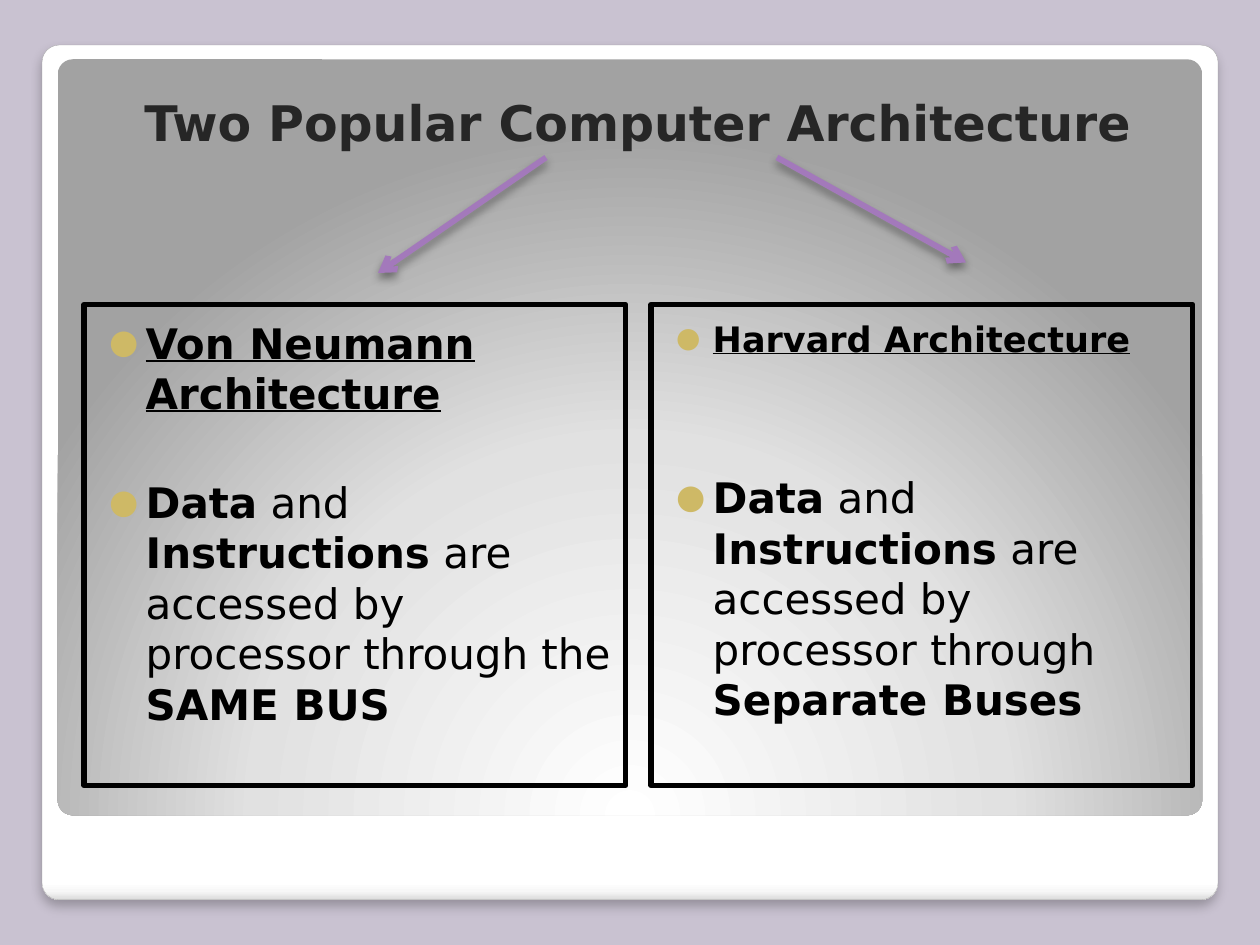
from dataclasses import dataclass

from lxml.etree import SubElement
from pptx import Presentation
from pptx.dml.color import RGBColor
from pptx.enum.shapes import MSO_CONNECTOR as Link, MSO_SHAPE as Shape
from pptx.enum.text import MSO_ANCHOR as Anchor, MSO_AUTO_SIZE as Auto, PP_ALIGN as Align
from pptx.oxml.ns import qn
from pptx.util import Inches, Pt


@dataclass(frozen=True)
class Theme:
    """Hold the colours, type sizes and font of the slide."""
    font: str = "DejaVu Sans"
    back: str = "C9C2D1"
    rim: str = "A4A4A4"
    title: str = "262626"
    ink: str = "000000"
    arrow: str = "A379BB"
    bullet: str = "CEB966"
    large: int = 28
    text: int = 24
    small: int = 20
    gap: float = 2.5
    row: float = 31
    base: tuple = ((0, "FFFFFF"), (98, "FFFFFF"), (99, "F7F7F7"), (100, "DADADA"))
    panel: tuple = ((0, "FFFFFF"), (55, "E1E1E1"), (100, "A2A2A2"))


THEME = Theme()
COLS, ROWS = 120, 90
WIDE, HIGH = Inches(10), Inches(7.5)


def grid(x, y):
    """Turn a column and a row into lengths."""
    return round(WIDE * x / COLS), round(HIGH * y / ROWS)


def color(code):
    """Return the colour for a hex code."""
    return RGBColor.from_string(code)


def node(parent, tag, **attrs):
    """Append a drawing element with attributes."""
    return SubElement(parent, qn(f"a:{tag}"), {k: str(v) for k, v in attrs.items()})


def place(item, x, y, w, h):
    """Move an item to its grid cells."""
    item.left, item.top = grid(x, y)
    item.width, item.height = grid(w, h)


def shade(item, alpha, blur, dist):
    """Add a soft shadow that falls straight down."""
    effect = node(item.element.spPr, "effectLst")
    outer = node(effect, "outerShdw", blurRad=Pt(blur), dist=Pt(dist),
                 dir=90 * 60000, algn="ctr", rotWithShape=0)
    node(node(outer, "srgbClr", val=THEME.ink), "alpha", val=alpha * 1000)


def blend(item, stops, rect=None):
    """Fill an item with a downward or a circular gradient."""
    item.fill.gradient()
    grad = item.element.spPr.find(qn("a:gradFill"))
    for child in list(grad):
        grad.remove(child)
    chain = node(grad, "gsLst")
    for pos, code in stops:
        node(node(chain, "gs", pos=pos * 1000), "srgbClr", val=code)
    if rect:
        sides = {k: v * 1000 for k, v in zip("ltrb", rect)}
        node(node(grad, "path", path="circle"), "fillToRect", **sides)
    else:
        node(grad, "lin", ang=90 * 60000, scaled=0)


def card(slide, cells, stops, rect=None):
    """Draw a rounded card behind the title."""
    item = slide.shapes.add_shape(Shape.ROUNDED_RECTANGLE, 0, 0, 0, 0)
    place(item, *cells)
    item.adjustments[0] = 0.02
    blend(item, stops, rect)
    item.line.fill.background()
    slide.shapes.title.element.addprevious(item.element)
    return item


def write(para, text, size=THEME.text, ink=THEME.ink, bold=False, under=False):
    """Add a formatted run to a paragraph."""
    run = para.add_run()
    run.text = text
    font = run.font
    font.name, font.size, font.bold, font.underline = THEME.font, Pt(size), bold, under
    font.color.rgb = color(ink)


def bullet(para, gap):
    """Give a paragraph its bullet, indent and space before."""
    para.space_before = Pt(gap)
    props = para._p.get_or_add_pPr()
    props.set("marL", str(Inches(0.29)))
    props.set("indent", str(-Inches(0.29)))
    node(node(props, "buClr"), "srgbClr", val=THEME.bullet)
    node(props, "buSzPct", val=80000)
    node(props, "buFont", typeface=THEME.font)
    node(props, "buChar", char="●")


def head(slide, text):
    """Fill the title placeholder."""
    item = slide.shapes.title
    place(item, 7, 5, 107.4, 10)
    frame = item.text_frame
    frame.auto_size, frame.vertical_anchor = Auto.NONE, Anchor.BOTTOM
    para = frame.paragraphs[0]
    para.alignment = Align.CENTER
    write(para, text, size=THEME.large, ink=THEME.title, bold=True)


def panel(item, col, name, size, skip, tail, bus):
    """Fill a framed body with a heading and its description."""
    place(item, col, 29, 51.6, 45.8)
    item.line.color.rgb, item.line.width = color(THEME.ink), Pt(3)
    frame = item.text_frame
    frame.auto_size, frame.vertical_anchor = Auto.NONE, Anchor.TOP
    frame.margin_left, frame.margin_top = Inches(0.2), Inches(0.1)
    frame.margin_right, frame.margin_bottom = Inches(0.1), Inches(0.05)
    top = frame.paragraphs[0]
    bullet(top, THEME.gap)
    write(top, name, size=size, bold=True, under=True)
    body = frame.add_paragraph()
    bullet(body, THEME.gap + skip * THEME.row)
    parts = ("Data", " and ", "Instructions", f" are accessed by processor through {tail}", bus)
    for spot, part in enumerate(parts):
        write(body, part, bold=spot % 2 == 0)


def arrow(slide, start, end):
    """Draw a shadowed arrow between two grid points."""
    item = slide.shapes.add_connector(Link.STRAIGHT, *grid(*start), *grid(*end))
    item.line.color.rgb, item.line.width = color(THEME.arrow), Pt(3.35)
    node(item.line._get_or_add_ln(), "tailEnd", type="arrow")
    shade(item, 40, 5.2, 3)


def main():
    """Build the slide and save it."""
    deck = Presentation()
    deck.slide_width, deck.slide_height = WIDE, HIGH
    slide = deck.slides.add_slide(deck.slide_layouts[3])
    slide.background.fill.solid()
    slide.background.fill.fore_color.rgb = color(THEME.back)

    base = card(slide, (4, 4.3, 112, 81.4), THEME.base)
    base.line.color.rgb, base.line.width = color(THEME.rim), Pt(0.16)
    shade(base, 25, 6, 4)
    inner = card(slide, (5.5, 5.65, 109, 72), THEME.panel, (50, 175, 50, -75))
    inner.shadow.inherit = False

    head(slide, "Two Popular Computer Architecture")
    left, right = slide.placeholders[1], slide.placeholders[2]
    panel(left, 8, "Von Neumann Architecture", THEME.text, 1, "the ", "SAME BUS")
    panel(right, 62, "Harvard Architecture", THEME.small, 2, "", "Separate Buses")
    arrow(slide, (52, 15), (36, 26))
    arrow(slide, (74, 15), (92, 25))
    deck.save("out.pptx")


if __name__ == "__main__":
    main()
